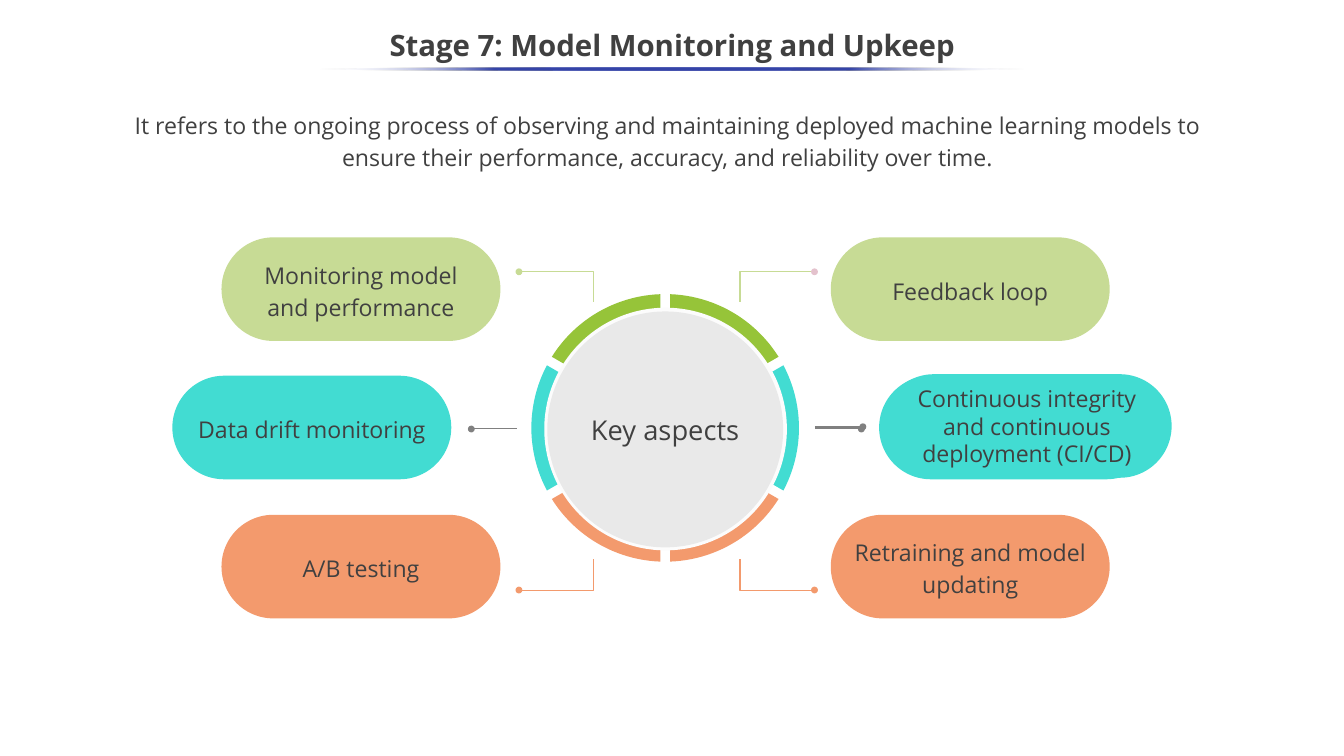
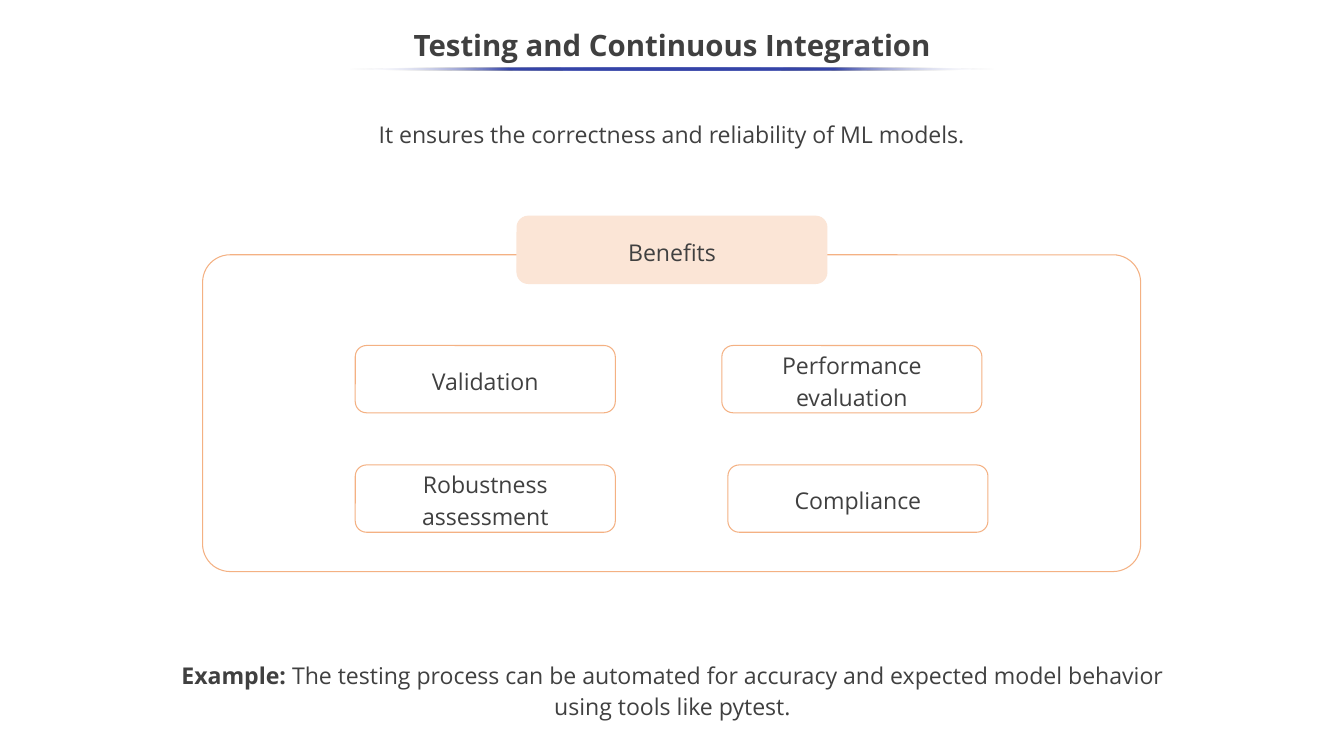
"""Build two slides on model monitoring and on testing with continuous integration."""
import math

from lxml import etree
from pptx import Presentation
from pptx import util as u
from pptx.dml.color import RGBColor
from pptx.enum import shapes, text
from pptx.oxml import parse_xml
from pptx.oxml.ns import nsdecls, qn

C = {
    "text": "404040", "rule": "3645A9", "white": "FFFFFF",
    "green": "96C439", "pale_green": "C7DB95", "teal": "42DCD2", "orange": "F39A6D",
    "rim": "FCFCFC", "hub": "E9E9E9", "grey": "808080", "pink": "E4C2CD",
    "outline": "F4B183", "peach": "FBE5D6",
}
FONT = "Open Sans"
ROUND, OVAL = shapes.MSO_SHAPE.ROUNDED_RECTANGLE, shapes.MSO_SHAPE.OVAL


def write(tf, runs, size=22, spacing=1.15, inset=(0.1, 0.05), anchor=text.MSO_ANCHOR.MIDDLE):
    """Fill a text frame with one centred paragraph of (text, bold) runs."""
    tf.word_wrap = True
    tf.auto_size = text.MSO_AUTO_SIZE.NONE
    tf.vertical_anchor = anchor
    tf.margin_left = tf.margin_right = u.Inches(inset[0])
    tf.margin_top = tf.margin_bottom = u.Inches(inset[1])
    p = tf.paragraphs[0]
    p.alignment = text.PP_ALIGN.CENTER
    p.line_spacing = spacing
    p.space_before = u.Pt(0)
    for words, bold in runs:
        r = p.add_run()
        r.text = words
        r.font.name, r.font.size, r.font.bold = FONT, u.Pt(size), bold
        r.font.color.rgb = RGBColor.from_string(C["text"])


def add_shape(s, kind, at, fill=None, line=None, adj=None):
    """Add a flat preset shape with an optional fill, outline and corner."""
    sp = s.shapes.add_shape(kind, *map(u.Inches, at))
    sp.shadow.inherit = False
    if fill:
        sp.fill.solid()
        sp.fill.fore_color.rgb = RGBColor.from_string(C[fill])
    else:
        sp.fill.background()
    if line:
        sp.line.color.rgb = RGBColor.from_string(C[line])
        sp.line.width = u.Pt(1)
    else:
        sp.line.fill.background()
    if adj:
        sp.adjustments[0] = adj
    return sp


prs = Presentation()
prs.slide_width, prs.slide_height = u.Inches(17.78), u.Inches(10)

headers = [
    ("Stage 7: Model Monitoring and Upkeep", 9.35, (1.34, 1.42, 14.98, 0.99),
     "It refers to the ongoing process of observing and maintaining deployed machine learning "
     "models to ensure their performance, accuracy, and reliability over time."),
    ("Testing and Continuous Integration", 8.55, (3.12, 1.54, 11.53, 0.45),
     "It ensures the correctness and reliability of ML models."),
]
stops = "".join(
    f'<a:gs pos="{pos}000"><a:srgbClr val="{C[name]}">{alpha}</a:srgbClr></a:gs>'
    for pos, name, alpha in [
        (0, "white", '<a:alpha val="0"/>'), (25, "rule", ""), (50, "rule", ""),
        (75, "rule", ""), (100, "white", '<a:alpha val="0"/>')])

for title, rule_w, body_at, intro in headers:
    s = prs.slides.add_slide(prs.slide_layouts[1])
    head, body = s.placeholders
    for ph, at in [(head, (-0.01, 0.25, 17.8, 0.75)), (body, body_at)]:
        ph.left, ph.top, ph.width, ph.height = map(u.Inches, at)
    write(head.text_frame, [(title, True)], 28, 0.9)
    pPr = body.text_frame.paragraphs[0]._p.get_or_add_pPr()
    pPr.set("marL", "0")
    pPr.set("indent", "0")
    etree.SubElement(pPr, qn("a:buNone"))
    write(body.text_frame, [(intro, False)], inset=(0.1, 0), anchor=text.MSO_ANCHOR.TOP)
    rule = add_shape(s, OVAL, (8.89 - rule_w / 2, 0.89, rule_w, 0.04))
    spPr = rule._element.spPr
    spPr.replace(spPr.find(qn("a:noFill")), parse_xml(
        f'<a:gradFill {nsdecls("a")} rotWithShape="1"><a:gsLst>{stops}</a:gsLst>'
        '<a:lin ang="10800000" scaled="0"/></a:gradFill>'))

monitoring, testing = prs.slides

s = monitoring
cx, cy, radius, gap = 8.8, 5.66, 1.77, 0.13
for i, name in enumerate(["green", "teal", "orange", "orange", "teal", "green"]):
    mid = 30 + 60 * i
    polar = [(gap, mid)] + [(radius, mid - 27.9 + 55.8 * k / 24) for k in range(25)]
    pts = [(u.Inches(cx + d * math.sin(math.radians(a))),
            u.Inches(cy - d * math.cos(math.radians(a)))) for d, a in polar]
    fb = s.shapes.build_freeform(*pts[0])
    fb.add_line_segments(pts[1:], close=True)
    sp = fb.convert_to_shape()
    sp.shadow.inherit = False
    sp.fill.solid()
    sp.fill.fore_color.rgb = RGBColor.from_string(C[name])
    sp.line.fill.background()
add_shape(s, OVAL, (7.2, 4.07, 3.21, 3.21), "rim")
hub = add_shape(s, OVAL, (7.24, 4.12, 3.12, 3.12), "hub")
write(hub.text_frame, [("Key aspects", False)], 26, 1)

elbows = [
    (6.87, 7.85, 3.59, 4.0, "pale_green"), (10.77, 9.79, 3.59, 4.0, "pale_green"),
    (6.87, 7.85, 7.81, 7.4, "orange"), (10.77, 9.79, 7.81, 7.4, "orange"),
]
for x, x_turn, y, y_end, name in elbows:
    fb = s.shapes.build_freeform(u.Inches(x), u.Inches(y))
    fb.add_line_segments(
        [(u.Inches(x_turn), u.Inches(y)), (u.Inches(x_turn), u.Inches(y_end))], close=False)
    sp = fb.convert_to_shape()
    sp.shadow.inherit = False
    sp.fill.background()
    sp.line.color.rgb = RGBColor.from_string(C[name])
    sp.line.width = u.Pt(1.5)

for x1, x2, y, width in [(6.25, 6.84, 5.67, 1.5), (10.78, 11.38, 5.66, 3)]:
    cn = s.shapes.add_connector(
        shapes.MSO_CONNECTOR.STRAIGHT, *map(u.Inches, (x1, y, x2, y)))
    cn.line.color.rgb = RGBColor.from_string(C["grey"])
    cn.line.width = u.Pt(width)
    etree.SubElement(cn._element.spPr, qn("a:effectLst"))

dots = [
    (6.82, 3.55, "pale_green"), (10.73, 3.55, "pink"),
    (6.82, 7.76, "orange"), (10.73, 7.76, "orange"),
    (6.19, 5.63, "grey"), (11.35, 5.63, "grey"), (11.37, 5.6, "grey"),
]
for x, y, name in dots:
    add_shape(s, OVAL, (x, y, 0.09, 0.09), name)

pills = [
    (2.93, 3.14, 3.69, "pale_green", "Monitoring model and performance", 1.15),
    (10.99, 3.14, 3.69, "pale_green", "Feedback loop", 1.15),
    (2.28, 4.97, 3.69, "teal", "Data drift monitoring", 1.15),
    (11.63, 4.97, 3.69, "teal", None, 1),
    (11.67, 4.95, 3.83, "teal", "Continuous integrity and continuous deployment (CI/CD)", 1),
    (2.93, 6.81, 3.69, "orange", "A/B testing", 1.15),
    (10.99, 6.81, 3.69, "orange", "Retraining and model updating", 1.15),
]
for x, y, w, name, label, spacing in pills:
    sp = add_shape(s, ROUND, (x, y, w, 1.37), name, adj=0.5)
    if label:
        write(sp.text_frame, [(label, False)], spacing=spacing, inset=(0.08, 0.05))

s = testing
add_shape(s, ROUND, (2.68, 3.37, 12.41, 4.19), line="outline", adj=0.087)
boxes = [
    (4.7, 4.57, 3.44, None, "outline", "Validation"),
    (9.55, 4.57, 3.44, None, "outline", "Performance evaluation"),
    (4.7, 6.15, 3.44, None, "outline", "Robustness assessment"),
    (9.63, 6.15, 3.44, None, "outline", "Compliance"),
    (6.84, 2.86, 4.1, "peach", "peach", "Benefits"),
]
for x, y, w, fill, line, label in boxes:
    sp = add_shape(s, ROUND, (x, y, w, 0.89), fill, line)
    write(sp.text_frame, [(label, False)])
example = s.shapes.add_textbox(*map(u.Inches, (2.25, 8.64, 13.29, 0.93)))
write(example.text_frame, [
    ("Example: ", True),
    ("The testing process can be automated for accuracy and expected model behavior "
     "using tools like pytest.", False),
], anchor=text.MSO_ANCHOR.TOP)

prs.save("out.pptx")
